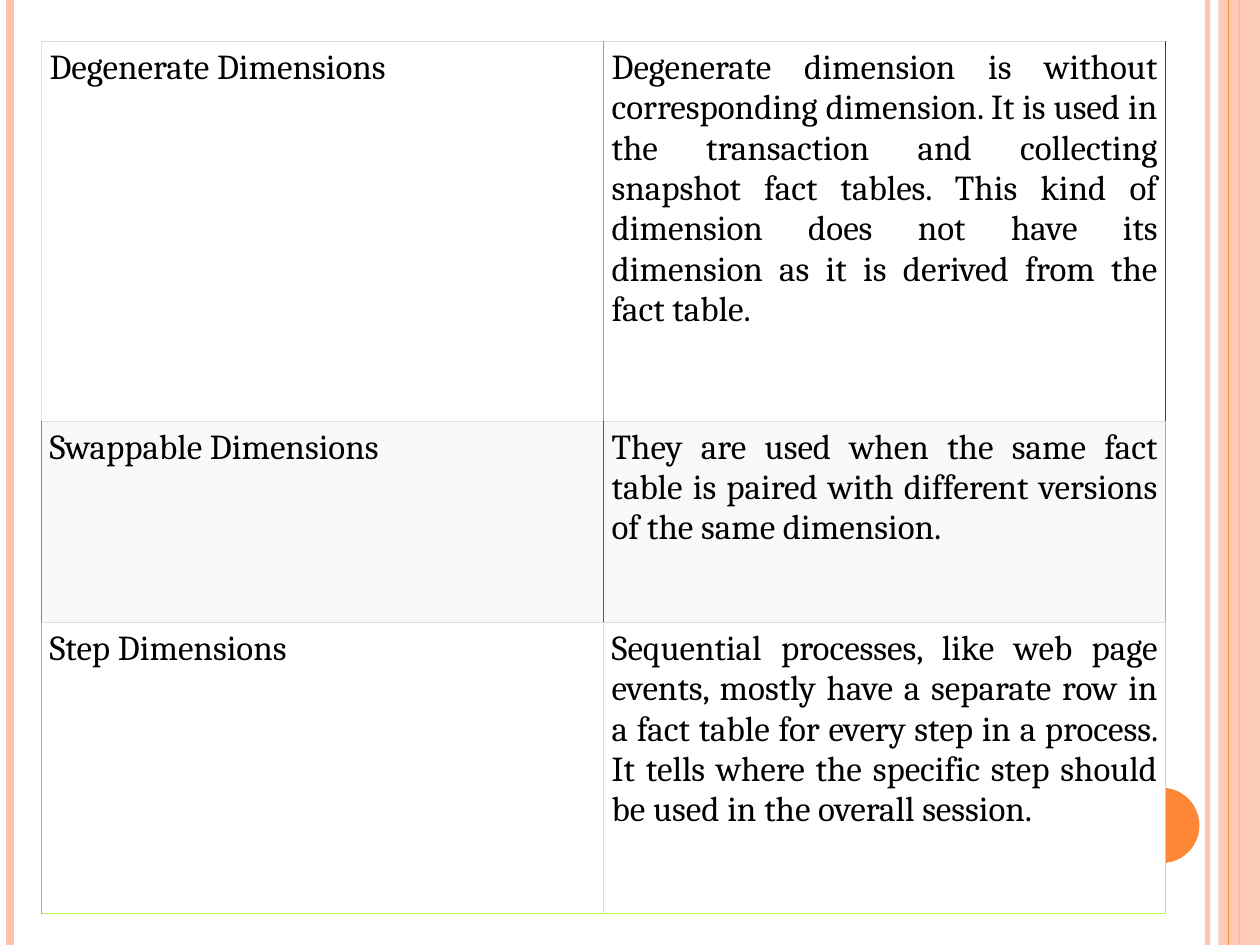
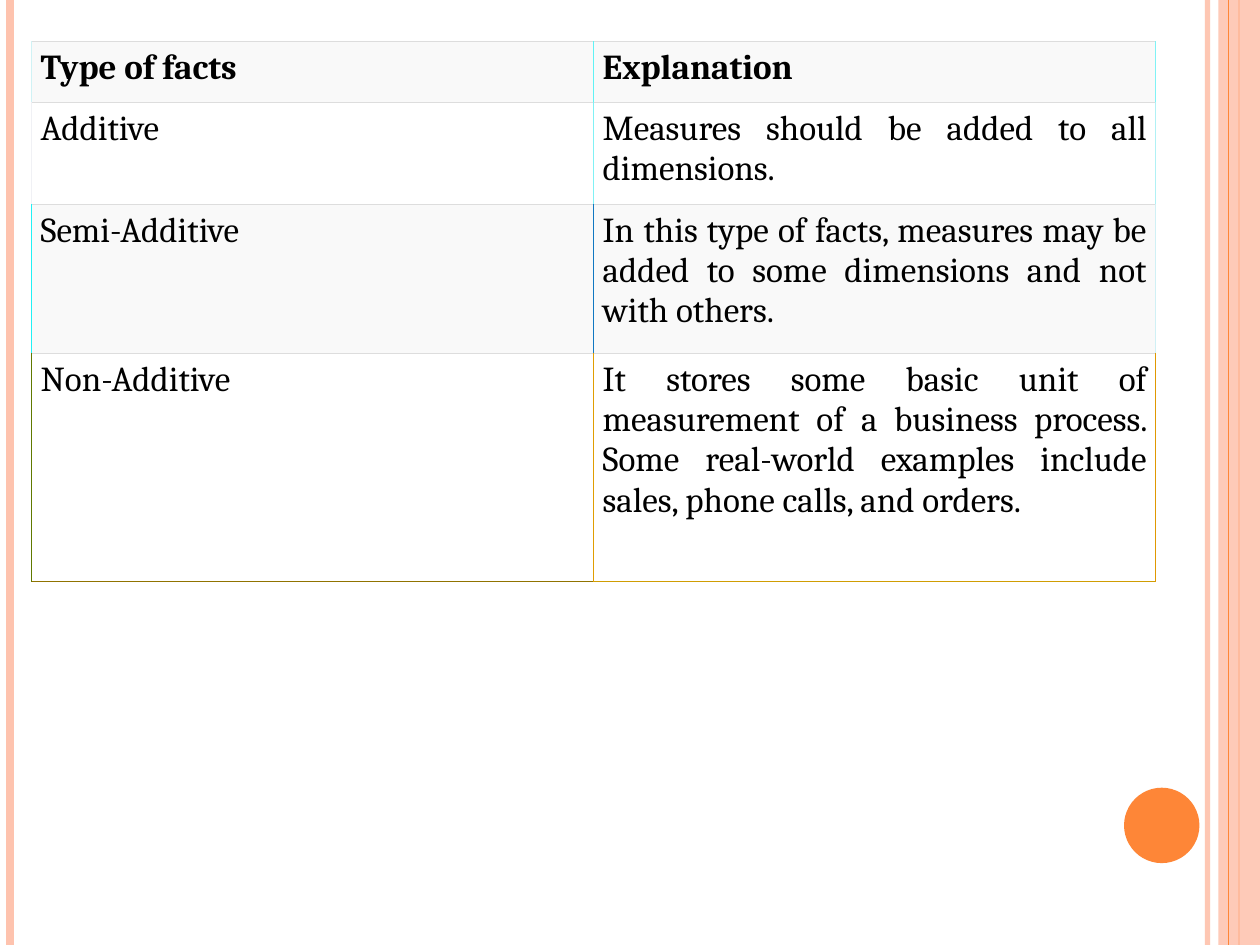
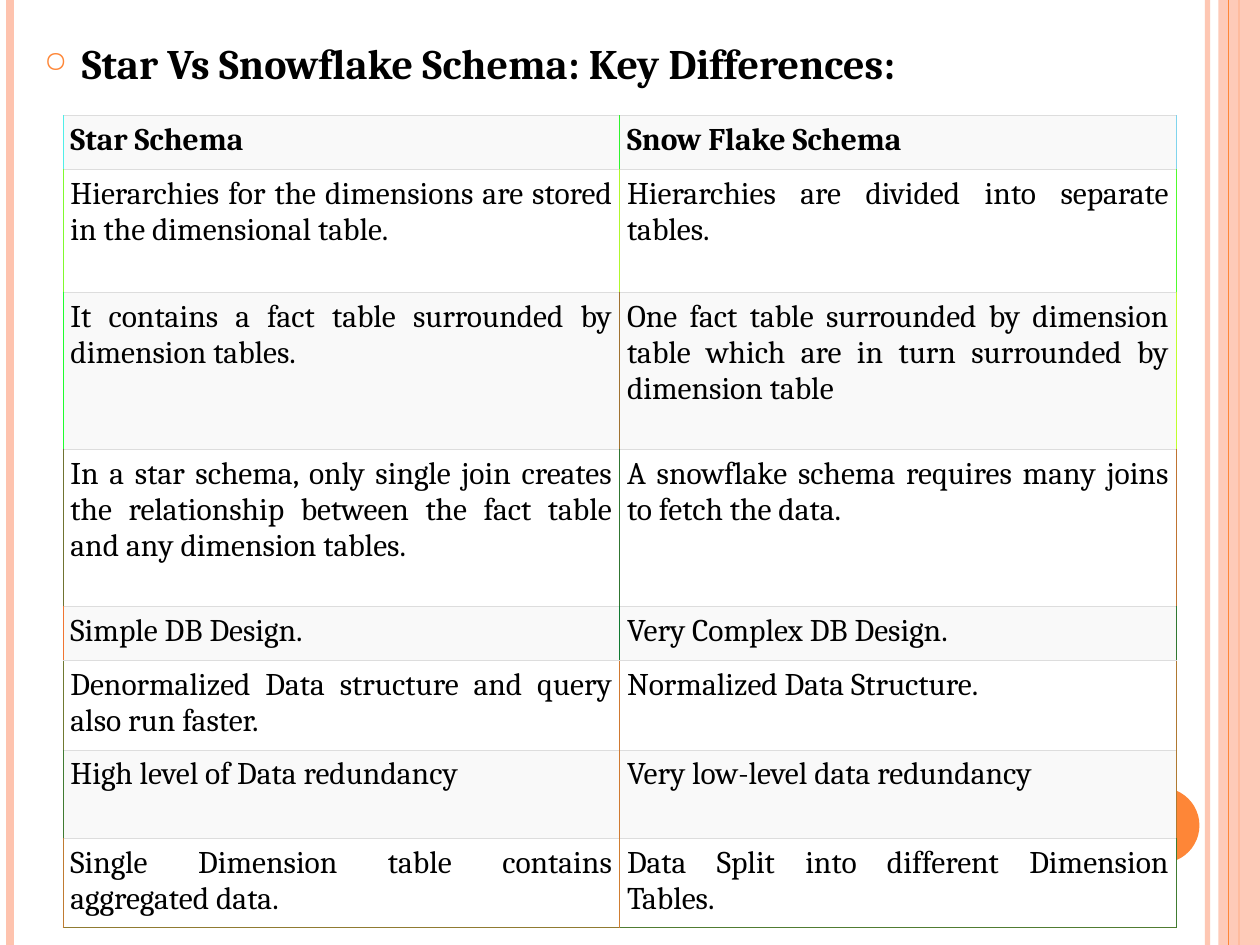
from lxml import etree
from pptx import Presentation
from pptx.dml.color import RGBColor
from pptx.enum.shapes import MSO_CONNECTOR, MSO_SHAPE
from pptx.enum.text import PP_ALIGN
from pptx.oxml.ns import qn
from pptx.util import Cm, Pt

STRAIGHT = MSO_CONNECTOR.STRAIGHT
RECTANGLE, OVAL = MSO_SHAPE.RECTANGLE, MSO_SHAPE.OVAL
JUSTIFY = PP_ALIGN.JUSTIFY

FONT = "Cambria"
BLACK = RGBColor(0x00, 0x00, 0x00)
WHITE = RGBColor(0xFF, 0xFF, 0xFF)
PALE_GREY = RGBColor(0xF9, 0xF9, 0xF9)
RULE_GREY = RGBColor(0xDD, 0xDD, 0xDD)
ORANGE = RGBColor(0xFE, 0x86, 0x37)
PEACH = RGBColor(0xFE, 0xC3, 0xAE)

PAGE_WIDTH, PAGE_HEIGHT = 25.4, 19.05
# x in cm, colour, width in points, opacity in percent
LINES_BEHIND_BAND = [(24.34, PEACH, 3, 93), (0.21, PEACH, 4.5, 100), (24.98, ORANGE, 1.5, 100)]
LINES_OVER_BAND = [(24.77, ORANGE, 0.75, 100)]
BAND_LEFT = 24.56

HEADING = "Star Vs Snowflake Schema: Key Differences:"

# Each row: height in cm, the two texts, colours of the left, middle and right edges
TABLES = [
    {
        "left": 0.84, "top": 0.84, "column": 11.33, "inset": 0.16, "size": 20,
        "header": False, "bottom": ("B0FB4F", "C0F84F"),
        "rows": [
            (7.65, "Degenerate Dimensions",
             "Degenerate dimension is without corresponding dimension. It is used in the "
             "transaction and collecting snapshot fact tables. This kind of dimension does "
             "not have its dimension as it is derived from the fact table.",
             ("F0F94F", "10FA4F", "105059")),
            (4.06, "Swappable Dimensions",
             "They are used when the same fact table is paired with different versions of "
             "the same dimension.",
             ("C06E52", "506152", "30FA4F")),
            (5.87, "Step Dimensions",
             "Sequential processes, like web page events, mostly have a separate row in a "
             "fact table for every step in a process. It tells where the specific step "
             "should be used in the overall session.",
             ("30FC4F", "D0F84F", "B0F84F")),
        ],
    },
    {
        "left": 0.64, "top": 0.84, "column": 11.33, "inset": 0.18, "size": 20,
        "header": True, "bottom": ("907300", "D09D02"),
        "rows": [
            (1.22, "Type of facts", "Explanation", ("D0F2F5", "60F2F5", "80F2F5")),
            (2.06, "Additive", "Measures should be added to all dimensions.",
             ("F0F1F5", "80F1F5", "B0F1F5")),
            (3.0, "Semi-Additive",
             "In this type of facts, measures may be added to some dimensions and not "
             "with others.",
             ("20F1F5", "1078C2", "D0F0F5")),
            (4.6, "Non-Additive",
             "It stores some basic unit of measurement of a business process. Some "
             "real-world examples include sales, phone calls, and orders.",
             ("607900", "E09D02", "E09802")),
        ],
    },
    {
        "left": 1.27, "top": 2.33, "column": 11.22, "inset": 0.15, "size": 18,
        "header": True, "bottom": ("907B31", "507C31"), "heading": HEADING,
        "rows": [
            (1.09, "Star Schema", "Snow Flake Schema", ("50EEE9", "30F32D", "80D4ED")),
            (2.47, "Hierarchies for the dimensions are stored in the dimensional table.",
             "Hierarchies are divided into separate tables.",
             ("80FA2D", "B0F82D", "50FC2D")),
            (3.17, "It contains a fact table surrounded by dimension tables.",
             "One fact table surrounded by dimension table which are in turn surrounded "
             "by dimension table",
             ("20FF2D", "A07231", "C0FF2D")),
            (3.17, "In a star schema, only single join creates the relationship between "
             "the fact table and any dimension tables.",
             "A snowflake schema requires many joins to fetch the data.",
             ("707331", "307531", "C07431")),
            (1.09, "Simple DB Design.", "Very Complex DB Design.",
             ("F07531", "107931", "307831")),
            (1.8, "Denormalized Data structure and query also run faster.",
             "Normalized Data Structure.", ("707931", "D07931", "B07931")),
            (1.78, "High level of Data redundancy", "Very low-level data redundancy",
             ("407A31", "D07A31", "B07A31")),
            (1.8, "Single Dimension table contains aggregated data.",
             "Data Split into different Dimension Tables.",
             ("C07B31", "D07D31", "407C31")),
        ],
    },
]


def set_opacity(properties, percent):
    color = properties.find(".//" + qn("a:srgbClr"))
    etree.SubElement(color, qn("a:alpha")).set("val", str(percent * 1000))


def add_vertical_line(page, x, color, width, opacity):
    line = page.shapes.add_connector(STRAIGHT, Cm(x), 0, Cm(x), Cm(PAGE_HEIGHT))
    line.line.color.rgb = color
    line.line.width = Pt(width)
    properties = line._element.spPr
    if opacity < 100:
        set_opacity(properties, opacity)
    etree.SubElement(properties, qn("a:effectLst"))


def add_plain_shape(page, kind, left, top, width, height, color):
    shape = page.shapes.add_shape(kind, Cm(left), Cm(top), Cm(width), Cm(height))
    shape.shadow.inherit = False
    shape.fill.solid()
    shape.fill.fore_color.rgb = color
    shape.line.fill.background()
    return shape


def add_decoration(page):
    for line in LINES_BEHIND_BAND:
        add_vertical_line(page, *line)
    band = add_plain_shape(page, RECTANGLE, BAND_LEFT, 0, PAGE_WIDTH - BAND_LEFT,
                           PAGE_HEIGHT, PEACH)
    set_opacity(band._element.spPr, 87)
    for line in LINES_OVER_BAND:
        add_vertical_line(page, *line)
    add_plain_shape(page, OVAL, 22.66, 15.88, 1.52, 1.52, ORANGE)


def set_font(para, size, bold):
    para.font.name = FONT
    para.font.size = Pt(size)
    para.font.bold = bold
    para.font.color.rgb = BLACK


def add_heading(page, text):
    box = page.shapes.add_textbox(Cm(0.64), Cm(0.64), Cm(23.28), Cm(1.48))
    box.text_frame.word_wrap = True
    para = box.text_frame.paragraphs[0]
    para.text = text
    properties = para._p.get_or_add_pPr()
    properties.set("marL", str(Cm(0.76)))
    properties.set("indent", str(-Cm(0.76)))
    bullet_color = etree.SubElement(properties, qn("a:buClr"))
    etree.SubElement(bullet_color, qn("a:srgbClr")).set("val", str(ORANGE))
    etree.SubElement(properties, qn("a:buSzPct")).set("val", "70000")
    etree.SubElement(properties, qn("a:buChar")).set("char", "○")
    set_font(para, 24, True)


def set_borders(cell, left, right, bottom):
    """Draw the four edges; the top one is always the grey rule."""
    edges = [("a:lnL", left), ("a:lnR", right), ("a:lnT", RULE_GREY), ("a:lnB", bottom)]
    properties = cell._tc.get_or_add_tcPr()
    for position, (tag, color) in enumerate(edges):
        width = Pt(0.34 if color == RULE_GREY else 0.45)
        edge = etree.Element(qn(tag), w=str(width))
        fill = etree.SubElement(edge, qn("a:solidFill"))
        etree.SubElement(fill, qn("a:srgbClr")).set("val", str(color))
        properties.insert(position, edge)


def fill_cell(cell, text, content, row_index):
    cell.margin_left = cell.margin_right = Cm(content["inset"])
    cell.margin_top = cell.margin_bottom = Cm(0.13)
    cell.fill.solid()
    shaded = (row_index % 2 == 0) == content["header"]
    cell.fill.fore_color.rgb = PALE_GREY if shaded else WHITE
    para = cell.text_frame.paragraphs[0]
    para.text = text
    para.alignment = JUSTIFY
    set_font(para, content["size"], content["header"] and row_index == 0)


def add_comparison(page, content):
    rows = content["rows"]
    frame = page.shapes.add_table(
        len(rows), 2, Cm(content["left"]), Cm(content["top"]),
        Cm(2 * content["column"]), Cm(sum(row[0] for row in rows)))
    table = frame.table
    table.first_row = table.horz_banding = False
    for column in table.columns:
        column.width = Cm(content["column"])
    for row_index, (height, *texts, edges) in enumerate(rows):
        table.rows[row_index].height = Cm(height)
        is_last = row_index == len(rows) - 1
        for column_index, text in enumerate(texts):
            cell = table.cell(row_index, column_index)
            fill_cell(cell, text, content, row_index)
            bottom = content["bottom"][column_index] if is_last else RULE_GREY
            set_borders(cell, edges[column_index], edges[column_index + 1], bottom)


def main():
    deck = Presentation()
    deck.slide_width, deck.slide_height = Cm(PAGE_WIDTH), Cm(PAGE_HEIGHT)
    blank = deck.slide_layouts[6]
    for content in TABLES:
        page = deck.slides.add_slide(blank)
        add_decoration(page)
        if "heading" in content:
            add_heading(page, content["heading"])
        add_comparison(page, content)
    deck.save("out.pptx")


if __name__ == "__main__":
    main()
